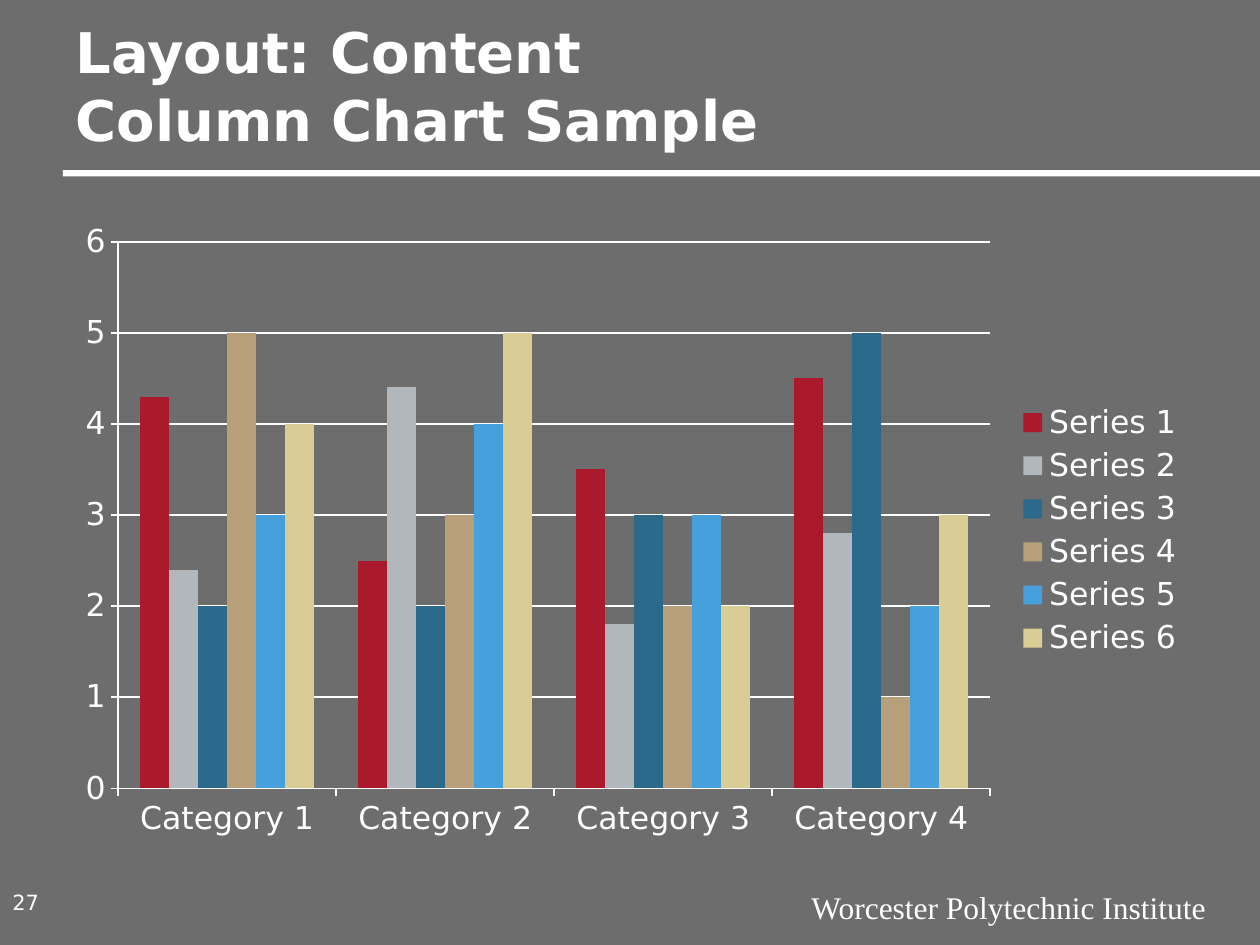
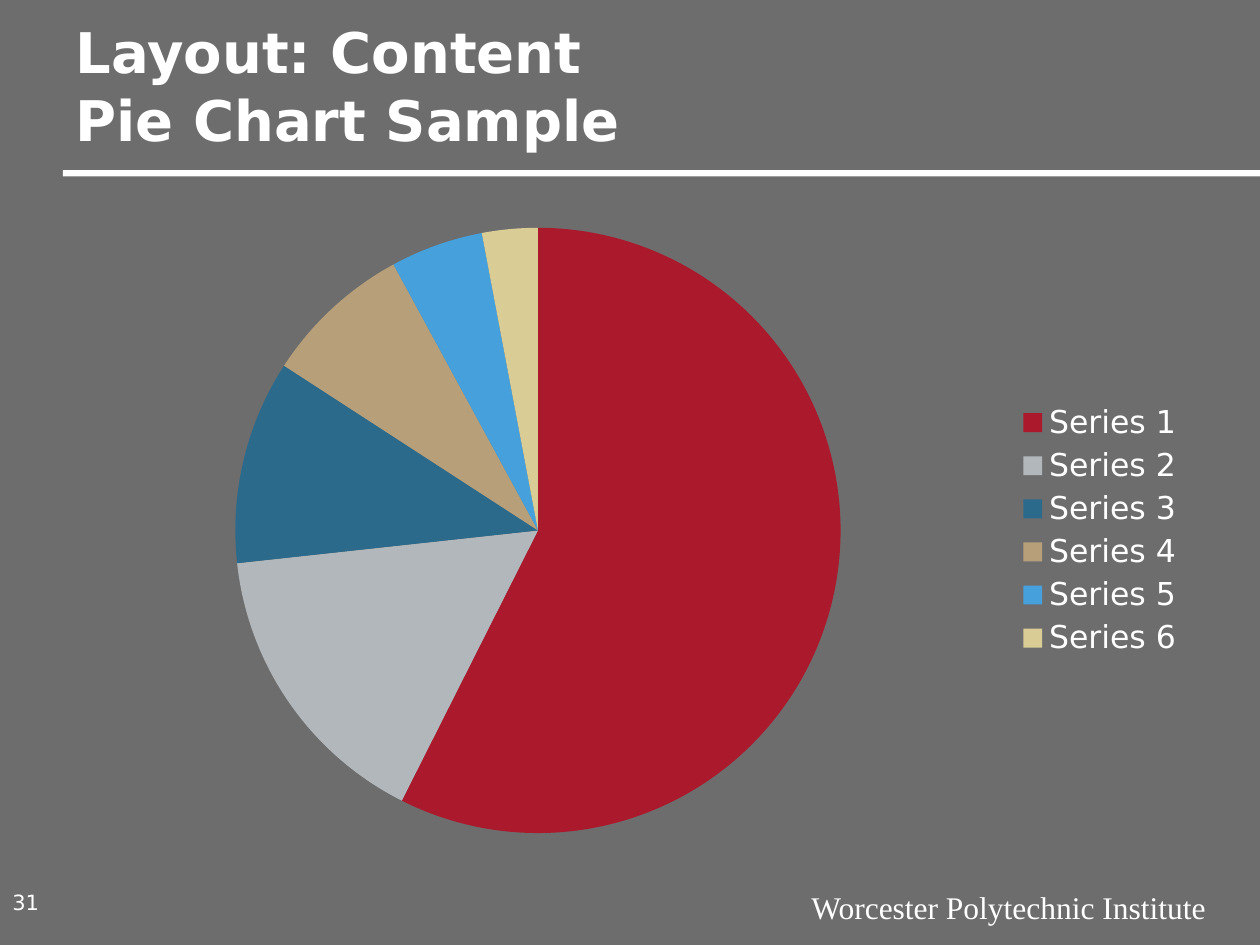
import pptx
import pptx.util
import pptx.chart.data
import pptx.dml.color
import pptx.enum.chart
import pptx.enum.shapes
import pptx.enum.text

Inches, Pt = pptx.util.Inches, pptx.util.Pt
ChartType = pptx.enum.chart.XL_CHART_TYPE
Align, Anchor = pptx.enum.text.PP_ALIGN, pptx.enum.text.MSO_ANCHOR


def rgb(value):
    return pptx.dml.color.RGBColor.from_string(value)


def fill(target, color):
    target.format.fill.solid()
    target.format.fill.fore_color.rgb = rgb(color)


class Deck:
    GRAY, WHITE = "6D6D6D", "FFFFFF"
    PALETTE = ["AB192D", "B2B7BB", "2C6A8C", "B7A079", "46A0DC", "D9CD95"]
    SANS, SERIF = "DejaVu Sans", "Times New Roman"

    def __init__(self):
        self.prs = pptx.Presentation()
        self.prs.slide_width, self.prs.slide_height = Inches(10), Inches(7.5)
        background = self.prs.slide_master.background.fill
        background.solid()
        background.fore_color.rgb = rgb(self.GRAY)

    def font(self, font, size, name=SANS, bold=False):
        font.size, font.name, font.bold = Pt(size), name, bold
        font.color.rgb = rgb(self.WHITE)

    def add_slide(self, title, number):
        """Start a slide with the shared title, rule and footer."""
        self.slide = self.prs.slides.add_slide(self.prs.slide_layouts[5])
        self.rule()
        self.text("Worcester Polytechnic Institute", 6, 7, 3.67, 0.4, 18,
                  name=self.SERIF, align=Align.RIGHT)
        self.title(title)
        self.text(number, 0, 6.99, 0.5, 0.34, 12, anchor=Anchor.MIDDLE)

    def rule(self):
        bar = self.slide.shapes.add_shape(
            pptx.enum.shapes.MSO_SHAPE.RECTANGLE,
            Inches(0.5), Inches(1.35), Inches(9.5), Inches(0.05))
        bar.shadow.inherit = False
        bar.fill.solid()
        bar.fill.fore_color.rgb = rgb(self.WHITE)
        bar.line.fill.background()

    def title(self, text):
        s = self.slide.shapes.title
        s.left, s.top, s.width, s.height = map(Inches, (0.5, 0.38, 9, 0.88))
        tf = s.text_frame
        tf.auto_size = pptx.enum.text.MSO_AUTO_SIZE.NONE
        tf.vertical_anchor = Anchor.BOTTOM
        tf.text = text
        p = tf.paragraphs[0]
        p.alignment = Align.LEFT
        for r in p.runs:
            self.font(r.font, 32, bold=True)

    def text(self, text, x, y, w, h, size, name=SANS, align=Align.LEFT,
             anchor=Anchor.TOP):
        box = self.slide.shapes.add_textbox(*map(Inches, (x, y, w, h)))
        tf = box.text_frame
        tf.word_wrap = True
        tf.vertical_anchor = anchor
        tf.text = text
        p = tf.paragraphs[0]
        p.alignment = align
        self.font(p.runs[0].font, size, name)

    def chart(self, kind, categories, series):
        data = pptx.chart.data.CategoryChartData()
        data.categories = categories
        for name, values in series.items():
            data.add_series(name, values)
        chart = self.slide.shapes.add_chart(
            kind, Inches(0.5), Inches(1.67), Inches(9), Inches(5.08),
            data).chart
        self.font(chart.font, 18)
        chart.has_title = False
        chart.has_legend = True
        chart.legend.position = pptx.enum.chart.XL_LEGEND_POSITION.RIGHT
        chart.legend.include_in_layout = False
        return chart

    def white_line(self, line):
        line.color.rgb = rgb(self.WHITE)
        line.width = Pt(1)

    def column_chart(self, categories, series):
        chart = self.chart(ChartType.COLUMN_CLUSTERED, categories, series)
        plot = chart.plots[0]
        plot.gap_width, plot.overlap = 150, 0
        plot.vary_by_categories = False
        for item, color in zip(plot.series, self.PALETTE):
            fill(item, color)
        for axis in (chart.category_axis, chart.value_axis):
            axis.major_tick_mark = pptx.enum.chart.XL_TICK_MARK.OUTSIDE
            axis.minor_tick_mark = pptx.enum.chart.XL_TICK_MARK.NONE
            self.white_line(axis.format.line)
        axis = chart.value_axis
        axis.minimum_scale, axis.maximum_scale, axis.major_unit = 0, 6, 1
        axis.has_major_gridlines = True
        self.white_line(axis.major_gridlines.format.line)

    def pie_chart(self, categories, series):
        plot = self.chart(ChartType.PIE, categories, series).plots[0]
        plot.vary_by_categories = True
        for i, color in enumerate(self.PALETTE):
            fill(plot.series[0].points[i], color)


def main():
    deck = Deck()
    names = [f"Series {i}" for i in range(1, 7)]

    # Column chart
    deck.add_slide("Layout: Content\vColumn Chart Sample", "27")
    columns = [(4.3, 2.5, 3.5, 4.5), (2.4, 4.4, 1.8, 2.8), (2, 2, 3, 5),
               (5, 3, 2, 1), (3, 4, 3, 2), (4, 5, 2, 3)]
    deck.column_chart([f"Category {i}" for i in range(1, 5)],
                      dict(zip(names, columns)))

    # Pie chart
    deck.add_slide("Layout: Content \vPie Chart Sample", "31")
    deck.pie_chart(names, {"Series 1": (58, 16, 11, 8, 5, 3)})

    deck.prs.save("out.pptx")


if __name__ == "__main__":
    main()
